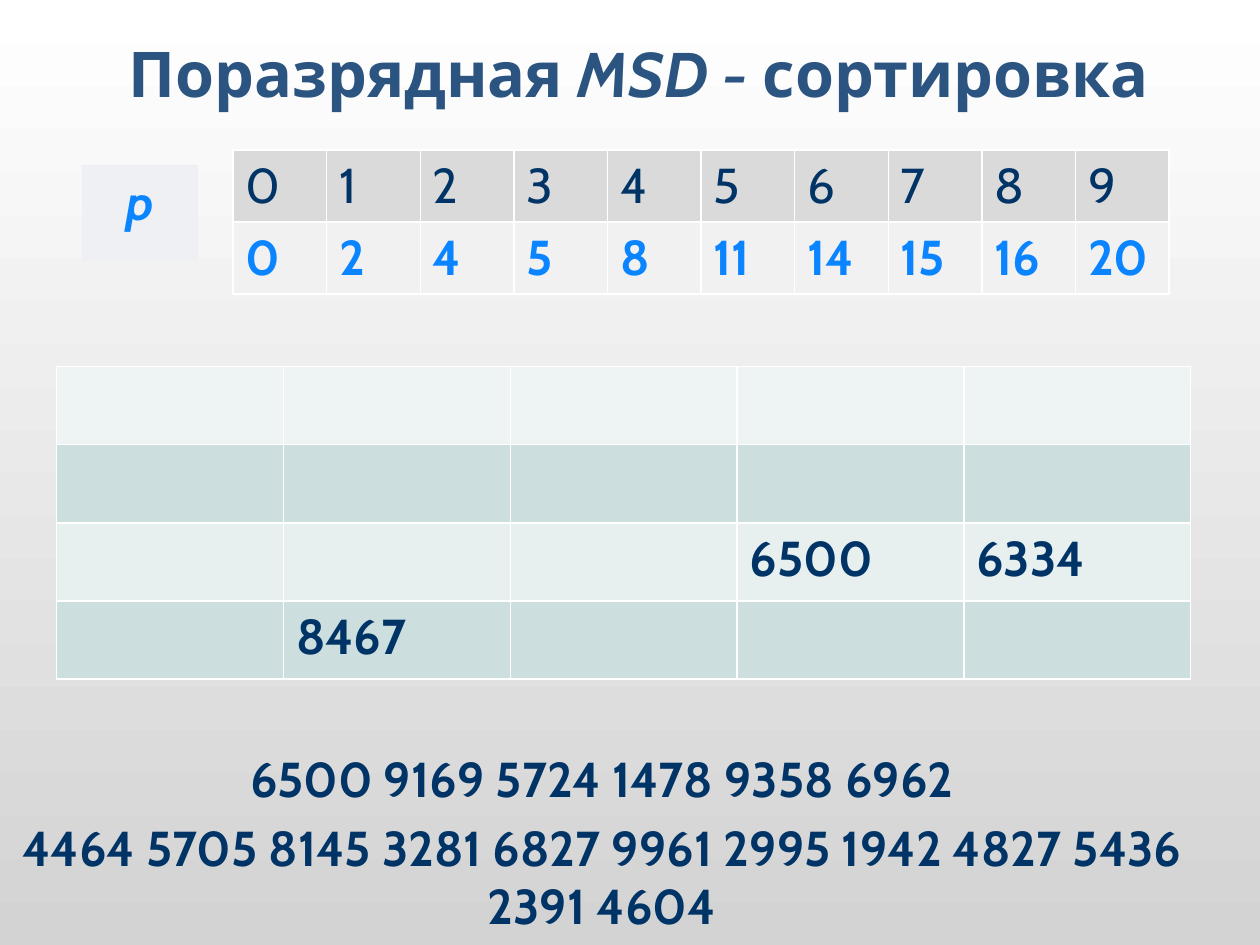
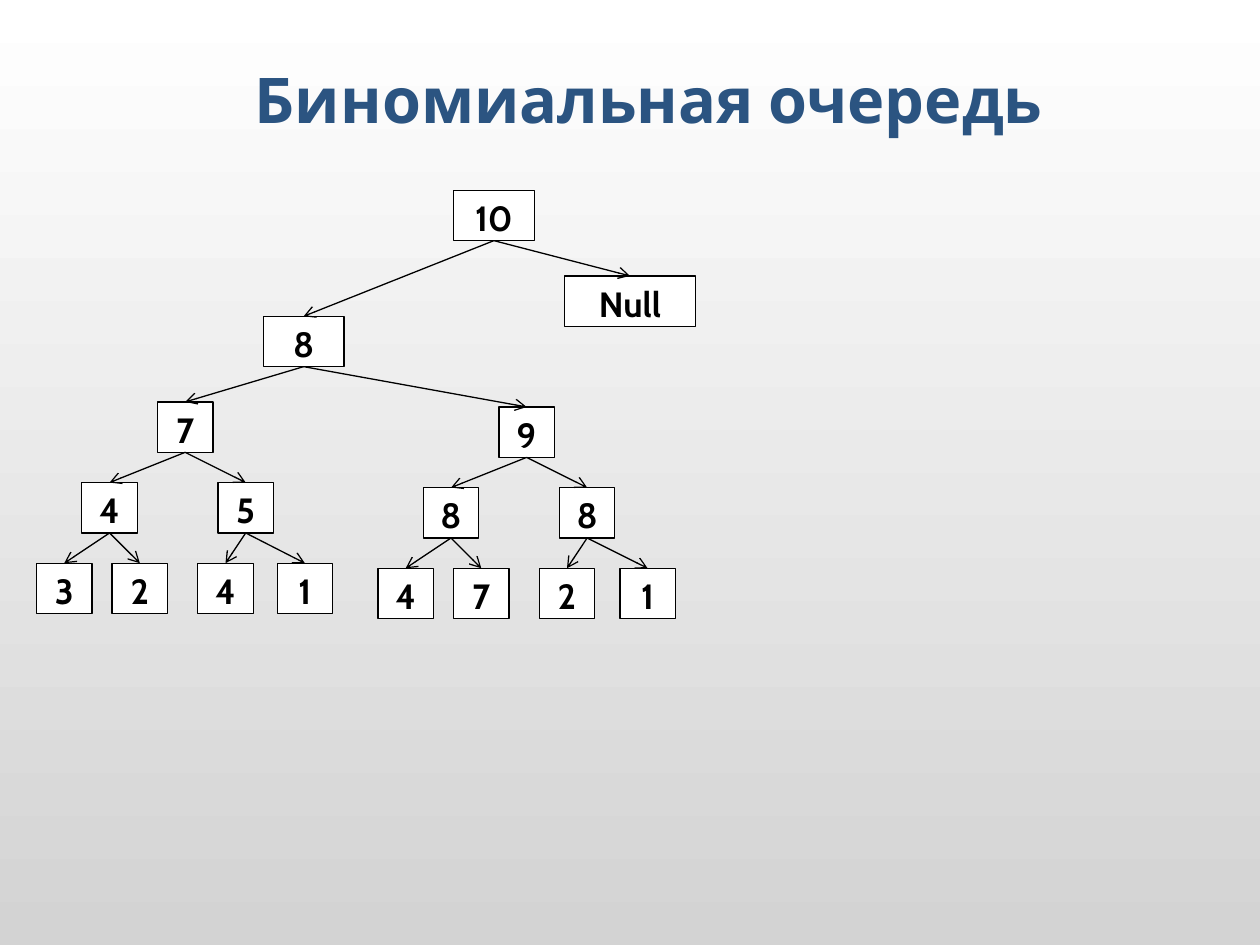
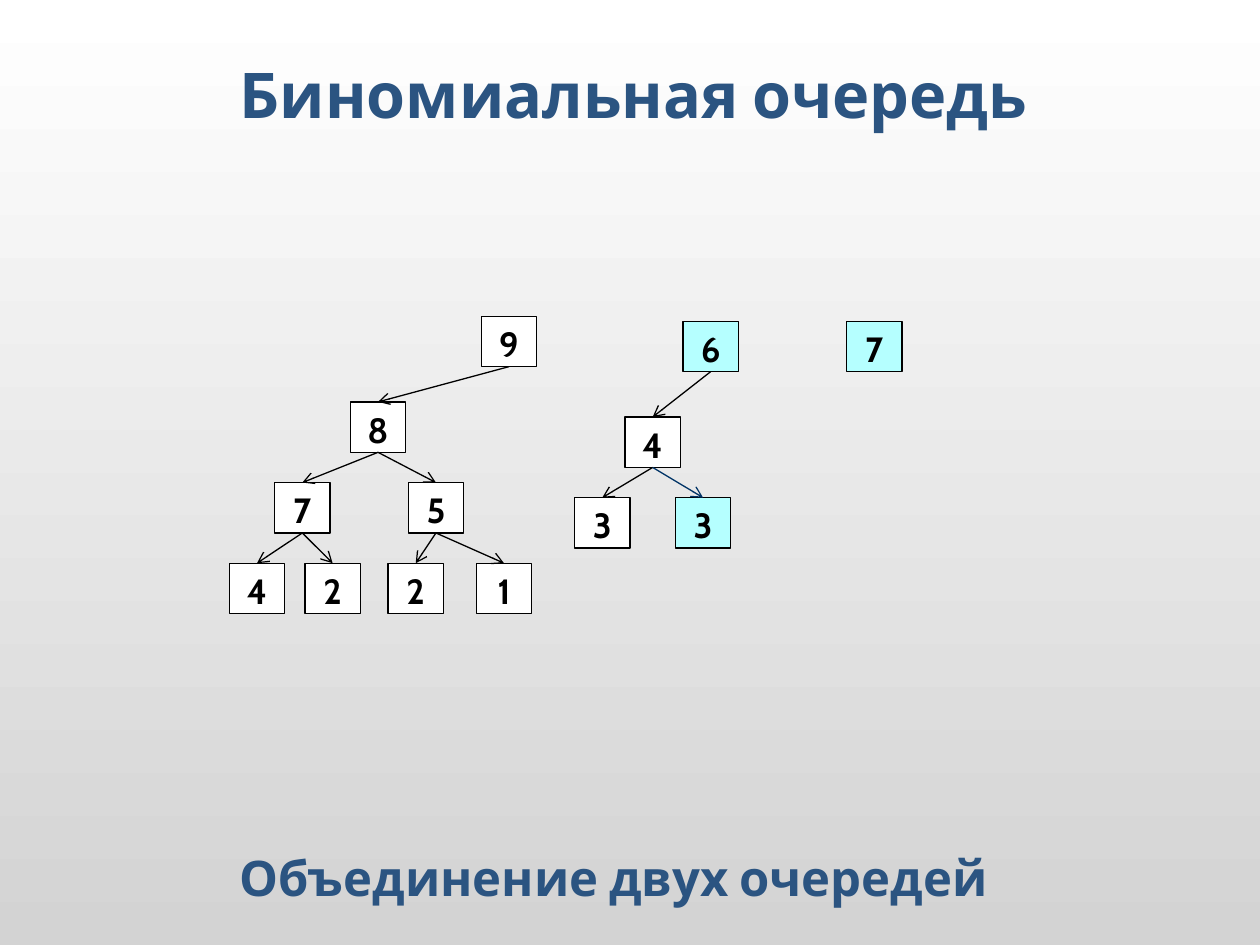
from dataclasses import dataclass, replace
from typing import NamedTuple, Optional

from lxml.etree import SubElement
from pptx import Presentation
from pptx.dml.color import RGBColor
from pptx.enum.shapes import MSO_CONNECTOR as Connector, MSO_SHAPE as Preset
from pptx.enum.text import MSO_ANCHOR as Anchor, MSO_AUTO_SIZE as AutoSize, PP_ALIGN as Align
from pptx.oxml.ns import qn
from pptx.util import Inches, Pt

FONT = "Cabin"
WHITE = "FFFFFF"
BLACK = "000000"
GREY = "D3D3D3"
TITLE_BLUE = "2B5481"
NAVY = "003366"
BRIGHT_BLUE = "0A85FF"
CYAN = "B5FFFF"
PALE_TEAL = "E7EFEF"
TEAL = "CCDEDE"
NODE_HEIGHT = 0.4
BOTTOM, TOP = 2, 0


class Box(NamedTuple):
    left: float
    top: float
    width: float
    height: float

    def lengths(self) -> list:
        return [Inches(side) for side in self]


@dataclass(frozen=True)
class TextStyle:
    size: int
    color: str
    bold: bool = True
    italic: bool = False
    align: Align = Align.CENTER


@dataclass(frozen=True)
class TableRow:
    fill: str
    values: tuple[str, ...]
    style: TextStyle


@dataclass(frozen=True)
class Node:
    label: str
    center: float
    children: tuple["Node", ...] = ()
    drop: float = 0.64
    width: float = 0.44
    fill: str = WHITE
    edge: str = BLACK


TITLE = TextStyle(36, TITLE_BLUE)
SUBTITLE = TextStyle(28, TITLE_BLUE)
NUMBERS = TextStyle(28, NAVY)
CELL = replace(NUMBERS, align=Align.LEFT)
POINTER = TextStyle(28, BRIGHT_BLUE, italic=True)
NODE_LABEL = TextStyle(20, BLACK)

DIGIT_ROWS = [
    TableRow("DADADA", tuple("0123456789"), replace(CELL, bold=False)),
    TableRow("F1F1F1", ("0", "2", "4", "5", "8", "11", "14", "15", "16", "20"),
             replace(CELL, color=BRIGHT_BLUE)),
]
BUCKET_ROWS = [
    TableRow("EEF4F4", ("",) * 5, CELL),
    TableRow(TEAL, ("",) * 5, CELL),
    TableRow(PALE_TEAL, ("", "", "", "6500", "6334"), CELL),
    TableRow(TEAL, ("", "8467", "", "", ""), CELL),
]
REMAINING = [
    "6500 9169 5724 1478 9358 6962",
    "4464 5705 8145 3281 6827 9961 2995 1942 4827 5436 2391 4604",
]

LEFT_SUBTREE = Node("7", 1.47, (
    Node("4", 0.87, (Node("3", 0.51), Node("2", 1.11))),
    Node("5", 1.95, (Node("4", 1.79), Node("1", 2.42))),
), drop=0.68)
RIGHT_SUBTREE = Node("9", 4.18, (
    Node("8", 3.58, (Node("4", 3.22), Node("7", 3.82))),
    Node("8", 4.66, (Node("2", 4.5), Node("1", 5.14))),
), drop=0.72)
POWER_TREE = Node("10", 3.92, (
    Node("8", 2.41, (LEFT_SUBTREE, RIGHT_SUBTREE), drop=1, width=0.64),
    Node("Null", 5, drop=0.68, width=1.04),
), width=0.64)

EIGHT_TREE = Node("9", 4.04, (
    Node("8", 3, (
        Node("7", 2.4, (Node("4", 2.04), Node("2", 2.64))),
        Node("5", 3.46, (Node("2", 3.3), Node("1", 4))),
    ), drop=0.68),
))
FOUR_TREE = Node("6", 5.64, (
    Node("4", 5.18, (
        Node("3", 4.78),
        Node("3", 5.58, fill=CYAN, edge=NAVY),
    ), drop=0.76),
), fill=CYAN)
SINGLE_TREE = Node("7", 6.94, fill=CYAN)


def rgb(color: str) -> RGBColor:
    return RGBColor.from_string(color)


def format_run(run, style: TextStyle) -> None:
    font = run.font
    font.name = FONT
    font.size = Pt(style.size)
    font.bold = style.bold
    font.italic = style.italic
    font.color.rgb = rgb(style.color)


def write(frame, lines: list[str], style: TextStyle) -> None:
    frame.text = "\n".join(lines)
    for index, paragraph in enumerate(frame.paragraphs):
        paragraph.alignment = style.align
        if index:
            paragraph.space_before = Pt(style.size * 0.2)
        for run in paragraph.runs:
            format_run(run, style)


def paint_background(master) -> None:
    fill = master.background.fill
    fill.gradient()
    fill.gradient_angle = 270
    for stop, color, position in zip(fill.gradient_stops, (WHITE, GREY), (0, 1)):
        stop.color.rgb = rgb(color)
        stop.position = position


def add_titled_slide(deck, box: Box, before: str, italic: str = "", after: str = ""):
    slide = deck.slides.add_slide(deck.slide_layouts[5])
    title = slide.shapes.title
    title.left, title.top, title.width, title.height = box.lengths()
    frame = title.text_frame
    frame.auto_size = AutoSize.NONE
    frame.vertical_anchor = Anchor.MIDDLE
    write(frame, [before], TITLE)
    for text, style in ((italic, replace(TITLE, italic=True)), (after, TITLE)):
        if text:
            run = frame.paragraphs[0].add_run()
            run.text = text
            format_run(run, style)
    return slide


def draw_text(slide, box: Box, lines: list[str], style: TextStyle, anchor: Anchor = Anchor.TOP) -> None:
    frame = slide.shapes.add_textbox(*box.lengths()).text_frame
    frame.word_wrap = True
    frame.vertical_anchor = anchor
    write(frame, lines, style)


def draw_rectangle(slide, box: Box, text: str, style: TextStyle, fill: str, line: Optional[str] = None):
    rectangle = slide.shapes.add_shape(Preset.RECTANGLE, *box.lengths())
    rectangle.shadow.inherit = False
    rectangle.fill.solid()
    rectangle.fill.fore_color.rgb = rgb(fill)
    if line:
        rectangle.line.color.rgb = rgb(line)
        rectangle.line.width = Pt(0.75)
    else:
        rectangle.line.fill.background()
    rectangle.text_frame.vertical_anchor = Anchor.TOP
    write(rectangle.text_frame, [text], style)
    return rectangle


def set_borders(cell, color: str) -> None:
    properties = cell._tc.get_or_add_tcPr()
    for index, side in enumerate(("a:lnL", "a:lnR", "a:lnT", "a:lnB")):
        border = properties.makeelement(qn(side), {"w": str(Pt(1))})
        solid = SubElement(border, qn("a:solidFill"))
        SubElement(solid, qn("a:srgbClr"), val=color)
        properties.insert(index, border)


def draw_table(slide, box: Box, rows: list[TableRow]) -> None:
    table = slide.shapes.add_table(len(rows), len(rows[0].values), *box.lengths()).table
    table.first_row = False
    table.horz_banding = False
    for table_row, row in zip(table.rows, rows):
        for cell, value in zip(table_row.cells, row.values):
            cell.fill.solid()
            cell.fill.fore_color.rgb = rgb(row.fill)
            set_borders(cell, WHITE)
            if value:
                write(cell.text_frame, [value], row.style)


def draw_edge(slide, parent, child, color: str) -> None:
    edge = slide.shapes.add_connector(Connector.STRAIGHT, 0, 0, 0, 0)
    edge.begin_connect(parent, BOTTOM)
    edge.end_connect(child, TOP)
    edge.line.color.rgb = rgb(color)
    edge.line.width = Pt(0.75)
    SubElement(edge.line._get_or_add_ln(), qn("a:tailEnd"), type="arrow")
    SubElement(edge._element.spPr, qn("a:effectLst"))


def draw_tree(slide, node: Node, top: float):
    box = Box(node.center - node.width / 2, top, node.width, NODE_HEIGHT)
    parent = draw_rectangle(slide, box, node.label, NODE_LABEL, node.fill, BLACK)
    for child in node.children:
        draw_edge(slide, parent, draw_tree(slide, child, top + child.drop), child.edge)
    return parent


def build_radix_sort(deck) -> None:
    slide = add_titled_slide(deck, Box(0.57, 0.32, 9, 0.5), "Поразрядная ", "MSD - ", "сортировка")
    draw_table(slide, Box(0.45, 2.91, 9, 2.48), BUCKET_ROWS)
    draw_rectangle(slide, Box(0.65, 1.31, 0.92, 0.76), "p", POINTER, "EEF0F3")
    draw_table(slide, Box(1.85, 1.19, 7.43, 1.14), DIGIT_ROWS)
    draw_text(slide, Box(0, 5.89, 9.55, 1.61), REMAINING, NUMBERS)


def build_power_tree(deck) -> None:
    slide = add_titled_slide(deck, Box(0.65, 0.24, 9, 1.08), "Биномиальная очередь")
    draw_tree(slide, POWER_TREE, 1.51)


def build_queue_merge(deck) -> None:
    slide = add_titled_slide(deck, Box(0.53, 0.2, 9, 1.08), "Биномиальная очередь")
    draw_text(slide, Box(0.37, 6.66, 9, 0.6), ["Объединение двух очередей"], SUBTITLE, Anchor.MIDDLE)
    draw_tree(slide, EIGHT_TREE, 2.51)
    draw_tree(slide, FOUR_TREE, 2.55)
    draw_tree(slide, SINGLE_TREE, 2.55)


def main() -> None:
    deck = Presentation()
    deck.slide_width, deck.slide_height = Inches(10), Inches(7.5)
    paint_background(deck.slide_master)
    build_radix_sort(deck)
    build_power_tree(deck)
    build_queue_merge(deck)
    deck.save("out.pptx")


if __name__ == "__main__":
    main()
